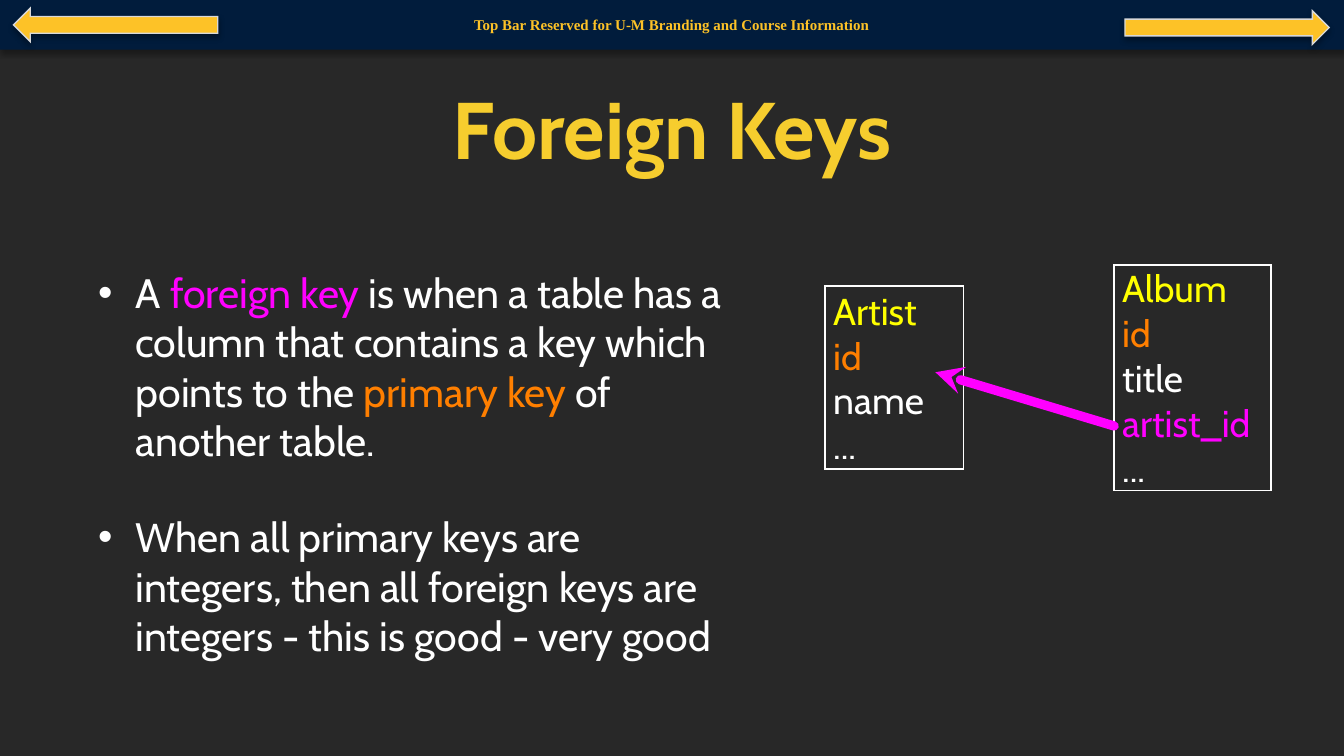
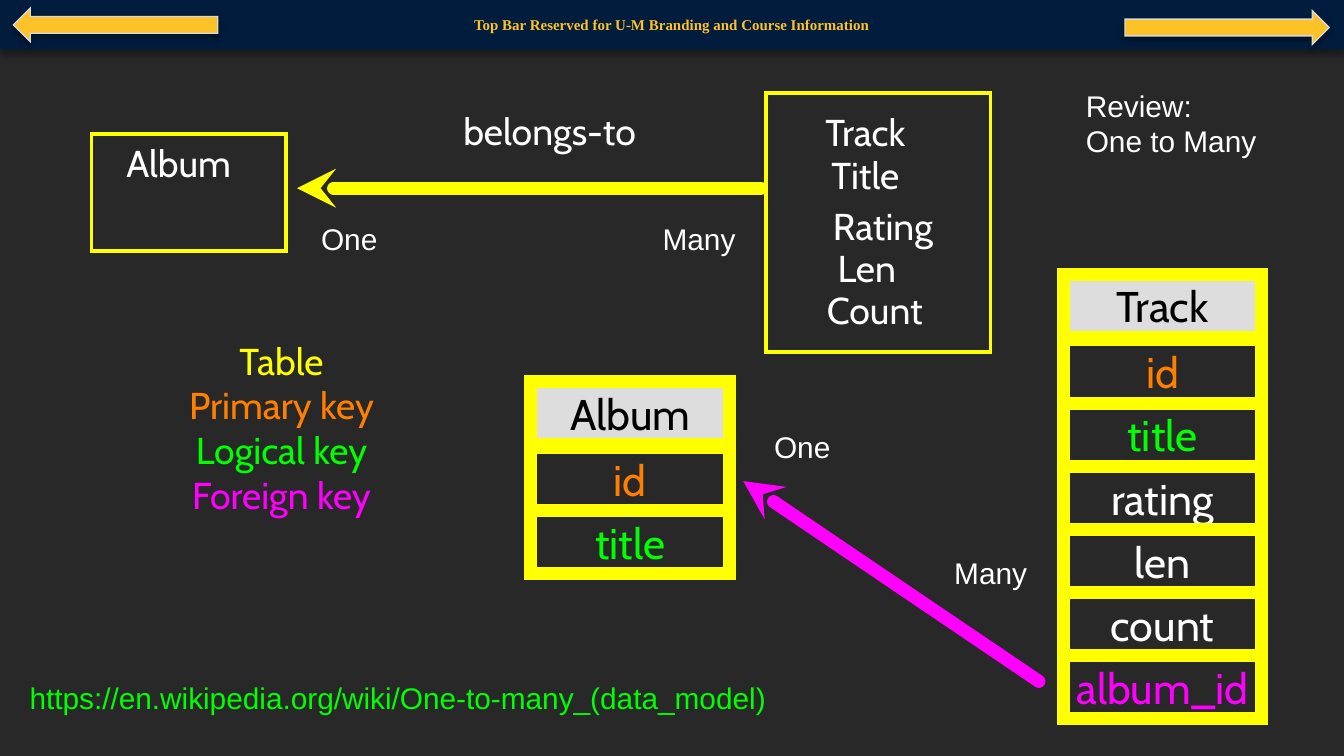
from lxml.etree import SubElement
from pptx import Presentation
from pptx.dml.color import RGBColor
from pptx.enum.shapes import MSO_CONNECTOR as Link, MSO_SHAPE as Shape
from pptx.enum.text import MSO_ANCHOR as Anchor, MSO_AUTO_SIZE as Fit, PP_ALIGN as Align
from pptx.oxml.ns import qn
from pptx.util import Inches, Pt

WIDTH, HEIGHT = 10, 5.625
COLORS = {
    "page": "282828", "bar": "011C3C", "gold": "FDC227", "edge": "D8D8D8",
    "title": "F6CD2E", "white": "FFFFFF", "black": "000000", "header": "DDDDDD",
    "table": "FFFF00", "primary": "FF7F00", "logical": "00FF00", "foreign": "FF00FF",
}
BODY_FONT, LABEL_FONT, BAR_FONT = "Cabin", "Arial", "Times New Roman"

BAR_TEXT = "Top Bar Reserved for U-M Branding and Course Information"
BAR_ARROWS = [(8.37, 0.08, 0), (0.1, 0.06, 180)]

TITLE = "Foreign Keys"
BULLETS = [
    [("A", "white"), (" foreign key", "foreign"),
     (" is when a table has a column that contains a key which points to the ", "white"),
     ("primary key", "primary"), (" of another table.", "white")],
    [("When all primary keys are integers, then all foreign keys are integers"
      " - this is good - very good", "white")],
]
TABLE_CARDS = [
    ((6.14, 2.13, 1.03, 1.36),
     [("Artist", "table"), ("id", "primary"), ("name", "white"), ("...", "white")]),
    ((8.29, 1.97, 1.17, 1.68),
     [("Album", "table"), ("id", "primary"), ("title", "white"),
      ("artist_id", "foreign"), ("...", "white")]),
]

ENTITIES = [(5.7, 0.69, 1.67, 1.93), (0.68, 1, 1.45, 0.87)]
ENTITY_LABELS = [
    ("Album", 1.33, 1.02), ("belongs-to", 4.09, 0.78), ("Track", 6.44, 0.79),
    ("Title", 6.44, 1.11), ("Rating", 6.57, 1.49), ("Len", 6.45, 1.8), ("Count", 6.51, 2.11),
]
STACKS = [
    (3.95, 2.84, [("Album", "black"), ("id", "primary"), ("title", "logical")]),
    (7.91, 2.04, [("Track", "black"), ("id", "primary"), ("title", "logical"),
                  ("rating", "white"), ("len", "white"), ("count", "white"),
                  ("album_id", "foreign")]),
]
CELL_WIDTH, CELL_HEIGHT, HEADER_GAP = 1.48, 0.47, 0.02
LEGEND = [("Table", "table"), ("Primary key", "primary"),
          ("Logical key", "logical"), ("Foreign key", "foreign")]
NOTES = [
    ((7.04, 4.1, 0.75, 0.33), ["Many"], "white"),
    ((5.7, 3.16, 0.6, 0.33), ["One"], "white"),
    ((0.16, 5.03, 5.75, 0.33),
     ["https://en.wikipedia.org/wiki/One-to-many_(data_model)"], "logical"),
    ((8.02, 0.62, 1.5, 0.6), ["Review:", "One to Many"], "white"),
    ((4.87, 1.61, 0.75, 0.33), ["Many"], "white"),
    ((2.33, 1.61, 0.6, 0.33), ["One"], "white"),
]


def color(name):
    return RGBColor.from_string(COLORS[name])


def add_box(page, area, fill=None, line=None, weight=1, kind=Shape.RECTANGLE):
    box = page.shapes.add_shape(kind, *map(Inches, area))
    box.shadow.inherit = False
    if fill:
        box.fill.solid()
        box.fill.fore_color.rgb = color(fill)
    else:
        box.fill.background()
    if line:
        box.line.color.rgb = color(line)
        box.line.width = Pt(weight)
        SubElement(box.line._get_or_add_ln(), qn("a:miter"), lim="800000")
    else:
        box.line.fill.background()
    return box


def add_text_box(page, area):
    return page.shapes.add_textbox(*map(Inches, area))


def write(box, lines, size, font=BODY_FONT, align=Align.CENTER, bold=False,
          margins=(0, 0, 0, 0), anchor=Anchor.MIDDLE):
    frame = box.text_frame
    frame.word_wrap = True
    frame.vertical_anchor = anchor
    (frame.margin_left, frame.margin_top,
     frame.margin_right, frame.margin_bottom) = map(Inches, margins)
    for index, spans in enumerate(lines):
        para = frame.add_paragraph() if index else frame.paragraphs[0]
        para.alignment = align
        for text, tint in spans:
            span = para.add_run()
            span.text = text
            span.font.name = font
            span.font.size = Pt(size)
            span.font.bold = bold
            span.font.color.rgb = color(tint)
    return frame


def one_per_line(items):
    return [[item] for item in items]


def add_bullet(para):
    props = para._p.get_or_add_pPr()
    props.set("marL", str(Inches(0.28)))
    props.set("indent", str(-Inches(0.28)))
    tint = SubElement(props, qn("a:buClr"))
    SubElement(tint, qn("a:srgbClr"), val=COLORS["white"])
    SubElement(props, qn("a:buFont"), typeface=LABEL_FONT)
    SubElement(props, qn("a:buChar"), char="•")


def add_shadow(box):
    effects = box._element.spPr.find(qn("a:effectLst"))
    shadow = SubElement(effects, qn("a:outerShdw"), blurRad=str(Pt(3.1)),
                        dist=str(Pt(1.8)), dir="5400000", rotWithShape="0")
    tint = SubElement(shadow, qn("a:srgbClr"), val=COLORS["black"])
    SubElement(tint, qn("a:alpha"), val="35000")


def add_arrow(page, tip, tail, tint, weight):
    arrow = page.shapes.add_connector(Link.STRAIGHT, *map(Inches, tip + tail))
    arrow.line.color.rgb = color(tint)
    arrow.line.width = Pt(weight)
    stroke = arrow.line._get_or_add_ln()
    stroke.set("cap", "rnd")
    SubElement(stroke, qn("a:headEnd"), type="stealth")
    SubElement(arrow._element.spPr, qn("a:effectLst"))


def add_page(deck):
    page = deck.slides.add_slide(deck.slide_layouts[6])
    page.background.fill.solid()
    page.background.fill.fore_color.rgb = color("page")
    bar = add_box(page, (0, 0, WIDTH, 0.37), "bar")
    add_shadow(bar)
    write(bar, [[(BAR_TEXT, "gold")]], 8, BAR_FONT, bold=True, margins=(0.1, 0.05, 0.1, 0.05))
    for left, top, turn in BAR_ARROWS:
        arrow = add_box(page, (left, top, 1.52, 0.25), "gold", "edge", 0.75, Shape.RIGHT_ARROW)
        arrow.rotation = turn
        add_shadow(arrow)
    return page


def build_foreign_keys(deck):
    page = add_page(deck)
    inset = (0.02,) * 4
    title = add_text_box(page, (0.39, 0.56, WIDTH - 2 * 0.39, 0.77))
    write(title, [[(TITLE, "title")]], 43, bold=True, margins=inset)
    body = add_text_box(page, (0.71, 1.51, 4.7, 3.88))
    frame = write(body, BULLETS, 22, align=Align.LEFT, margins=inset)
    for index, para in enumerate(frame.paragraphs):
        add_bullet(para)
        para.space_before = Pt(19.7 if index else 0)
        para.space_after = Pt(5.6)
    for area, fields in TABLE_CARDS:
        card = add_box(page, area, line="white")
        write(card, one_per_line(fields), 20, align=Align.LEFT, margins=(0.06, 0, 0, 0))
    add_arrow(page, (6.96, 2.77), (8.29, 3.17), "foreign", 5)


def build_one_to_many(deck):
    page = add_page(deck)
    for area in ENTITIES:
        add_box(page, area, line="table", weight=2)
    add_arrow(page, (2.21, 1.4), (5.66, 1.4), "table", 7)
    label_width = 1.56
    for text, center, top in ENTITY_LABELS:
        label = add_text_box(page, (center - label_width / 2, top, label_width, 0.38))
        write(label, [[(text, "white")]], 20)
    for left, top, fields in STACKS:
        for row, field in enumerate(fields):
            cell_top = top + row * CELL_HEIGHT + (HEADER_GAP if row else 0)
            cell = add_box(page, (left, cell_top, CELL_WIDTH, CELL_HEIGHT),
                           None if row else "header", "table", 7)
            write(cell, [[field]], 23)
    add_arrow(page, (5.53, 3.58), (7.73, 5.07), "foreign", 7)
    write(add_text_box(page, (1.12, 2.51, 1.95, 1.34)), one_per_line(LEGEND), 20)
    for area, lines, tint in NOTES:
        frame = write(add_text_box(page, area), [[(line, tint)] for line in lines], 16,
                      LABEL_FONT, Align.LEFT, margins=(0.06, 0.03, 0.06, 0.03),
                      anchor=Anchor.TOP)
        frame.auto_size = Fit.SHAPE_TO_FIT_TEXT


def main():
    """Build the two slides on database keys and save them."""
    deck = Presentation()
    deck.slide_width, deck.slide_height = Inches(WIDTH), Inches(HEIGHT)
    build_foreign_keys(deck)
    build_one_to_many(deck)
    deck.save("out.pptx")


if __name__ == "__main__":
    main()
